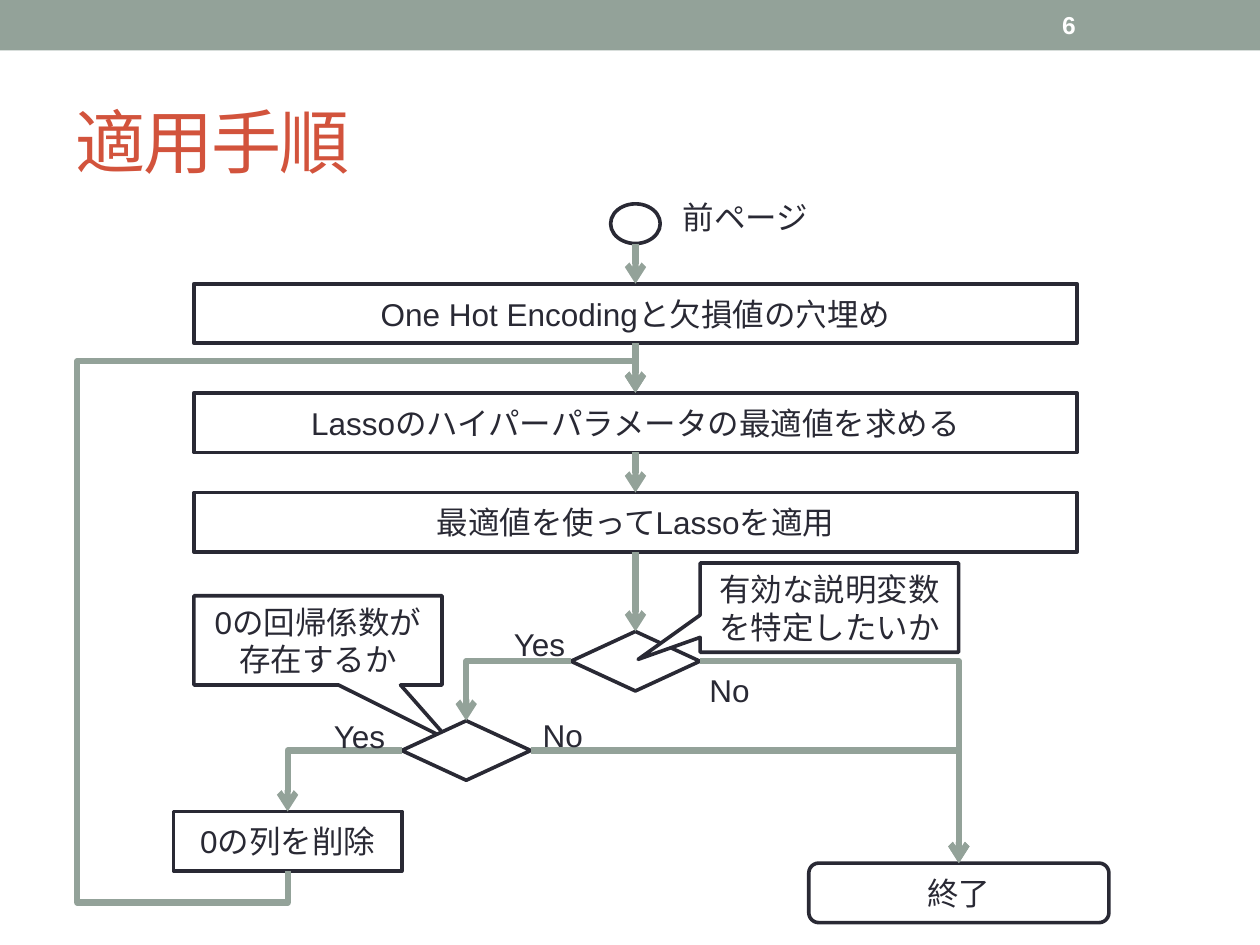
from dataclasses import dataclass

from lxml import etree
from pptx import Presentation
from pptx.dml.color import RGBColor
from pptx.enum.shapes import MSO_CONNECTOR, MSO_SHAPE
from pptx.enum.text import MSO_ANCHOR, PP_ALIGN
from pptx.oxml.ns import qn
from pptx.util import Cm, Pt

COLORS = {"band": "93A299", "title": "D2533C", "ink": "292934", "paper": "FFFFFF"}
FONT = "Arial"
RECTANGLE = MSO_SHAPE.RECTANGLE
CIRCLE = MSO_SHAPE.FLOWCHART_CONNECTOR
PROCESS = MSO_SHAPE.FLOWCHART_PROCESS
DECISION = MSO_SHAPE.FLOWCHART_DECISION
TERMINAL = MSO_SHAPE.FLOWCHART_ALTERNATE_PROCESS
CALLOUT = MSO_SHAPE.RECTANGULAR_CALLOUT
STRAIGHT, ELBOW = MSO_CONNECTOR.STRAIGHT, MSO_CONNECTOR.ELBOW
LEFT, CENTER = PP_ALIGN.LEFT, PP_ALIGN.CENTER
TOP_ANCHOR, MIDDLE_ANCHOR = MSO_ANCHOR.TOP, MSO_ANCHOR.MIDDLE
TOP_SIDE, LEFT_SIDE, BOTTOM_SIDE, RIGHT_SIDE = range(4)

MAIN_X, SECOND_X, DELETE_X, END_X = 12.81, 9.4, 5.8, 19.33


@dataclass(frozen=True)
class Node:
    name: str
    kind: int
    center_x: float
    top: float
    width: float
    height: float = 1.2
    text: str = ""
    pointer: tuple[float, ...] = ()


@dataclass(frozen=True)
class Link:
    start: str
    start_side: int
    end: str
    geometry: str = "line"
    bends: tuple[int, ...] = ()


@dataclass(frozen=True)
class Label:
    text: str
    left: float
    top: float
    width: float
    wrap: bool = False


NODES = [
    Node("previous", CIRCLE, MAIN_X, 4.11, 1, 0.8),
    Node("encode", PROCESS, MAIN_X, 5.72, 17.8, text="One Hot Encodingと欠損値の穴埋め"),
    Node("optimize", PROCESS, MAIN_X, 7.92, 17.8,
         text="Lassoのハイパーパラメータの最適値を求める"),
    Node("apply", PROCESS, MAIN_X, 9.93, 17.8, text="最適値を使ってLassoを適用"),
    Node("finish", TERMINAL, END_X, 17.4, 6.05, text="終了"),
    Node("want variables", DECISION, MAIN_X, 12.73, 2.6),
    Node("variables question", CALLOUT, 16.72, 11.35, 5.21, 1.8,
         "有効な説明変数を特定したいか", (-0.74, 0.58)),
    Node("zero question", CALLOUT, 6.41, 12.01, 5, 1.8,
         "0の回帰係数が存在するか", (0.53, 1.12)),
    Node("has zero", DECISION, SECOND_X, 14.53, 2.6),
    Node("delete", PROCESS, DELETE_X, 16.36, 4.6, text="0の列を削除"),
]

LINKS = [
    Link("previous", BOTTOM_SIDE, "encode"),
    Link("encode", BOTTOM_SIDE, "optimize"),
    Link("optimize", BOTTOM_SIDE, "apply"),
    Link("apply", BOTTOM_SIDE, "want variables"),
    Link("want variables", LEFT_SIDE, "has zero", "bentConnector2"),
    Link("want variables", RIGHT_SIDE, "finish", "bentConnector2"),
    Link("has zero", LEFT_SIDE, "delete", "bentConnector2"),
    Link("has zero", RIGHT_SIDE, "finish", "bentConnector2"),
    Link("delete", BOTTOM_SIDE, "optimize", "bentConnector5", (-6600, -60500, 106600)),
]

LABELS = [
    Label("前ページ", 13.51, 3.86, 4.6, wrap=True),
    Label("Yes", 10.11, 12.47, 1.55),
    Label("No", 14.05, 13.41, 1.32),
    Label("Yes", 6.48, 14.33, 1.55),
    Label("No", 10.69, 14.3, 1.32),
]


def color(name: str) -> RGBColor:
    return RGBColor.from_string(COLORS[name])


def write_text(shape, text: str, *, size: float = 18, ink: str = "ink", bold: bool = False,
               align=LEFT, anchor=MIDDLE_ANCHOR, wrap: bool = True, spacing: int = 0) -> None:
    """Fill a shape with one formatted paragraph; spacing is in hundredths of a point."""
    frame = shape.text_frame
    frame.word_wrap = wrap
    frame.vertical_anchor = anchor
    paragraph = frame.paragraphs[0]
    paragraph.alignment = align
    run = paragraph.add_run()
    run.text = text
    run.font.name = FONT
    run.font.size = Pt(size)
    run.font.bold = bold
    run.font.color.rgb = color(ink)
    if spacing:
        run.font._element.set("spc", str(spacing))


def add_text(slide, text: str, left: float, top: float, width: float, height: float,
             **text_format) -> None:
    box = slide.shapes.add_textbox(Cm(left), Cm(top), Cm(width), Cm(height))
    write_text(box, text, **text_format)


def add_header(slide, width: float) -> None:
    band = slide.shapes.add_shape(RECTANGLE, 0, 0, Cm(width), Cm(1.02))
    band.shadow.inherit = False
    band.fill.solid()
    band.fill.fore_color.rgb = color("band")
    band.line.fill.background()


def add_node(slide, node: Node):
    shape = slide.shapes.add_shape(node.kind, Cm(node.center_x - node.width / 2),
                                   Cm(node.top), Cm(node.width), Cm(node.height))
    shape.shadow.inherit = False
    shape.fill.solid()
    shape.fill.fore_color.rgb = color("paper")
    shape.line.color.rgb = color("ink")
    shape.line.width = Pt(2.08)
    for index, value in enumerate(node.pointer):
        shape.adjustments[index] = value
    if node.text:
        write_text(shape, node.text, align=CENTER)
    return shape


def side_point(shape, side: int) -> tuple[int, int]:
    x = shape.left + {LEFT_SIDE: 0, RIGHT_SIDE: shape.width}.get(side, shape.width // 2)
    y = shape.top + {TOP_SIDE: 0, BOTTOM_SIDE: shape.height}.get(side, shape.height // 2)
    return x, y


def turn_upward(connector, start: tuple[int, int], end: tuple[int, int]) -> None:
    """Rotate a connector so that it leaves downward and arrives from above."""
    width, height = abs(end[1] - start[1]), abs(end[0] - start[0])
    connector.left = (start[0] + end[0] - width) // 2
    connector.top = (start[1] + end[1] - height) // 2
    connector.width, connector.height = width, height
    transform = connector._element.spPr.find(qn("a:xfrm"))
    for key, value in (("rot", "5400000"), ("flipH", "1"), ("flipV", "1")):
        transform.set(key, value)


def add_link(slide, link: Link, shapes: dict) -> None:
    start_shape, end_shape = shapes[link.start], shapes[link.end]
    start, end = side_point(start_shape, link.start_side), side_point(end_shape, TOP_SIDE)
    kind = STRAIGHT if link.geometry == "line" else ELBOW
    connector = slide.shapes.add_connector(kind, *start, *end)
    # The circle numbers its eight connection sites differently.
    if start_shape.auto_shape_type != CIRCLE:
        connector.begin_connect(start_shape, link.start_side)
    connector.end_connect(end_shape, TOP_SIDE)
    connector.line.color.rgb = color("band")
    connector.line.width = Pt(3.5)
    properties = connector._element.spPr
    etree.SubElement(properties.find(qn("a:ln")), qn("a:tailEnd"), type="arrow")
    etree.SubElement(properties, qn("a:effectLst"))
    geometry = properties.find(qn("a:prstGeom"))
    geometry.set("prst", link.geometry)
    for number, value in enumerate(link.bends, start=1):
        etree.SubElement(geometry.find(qn("a:avLst")), qn("a:gd"),
                         name=f"adj{number}", fmla=f"val {value}")
    if link.bends:
        turn_upward(connector, start, end)


def main() -> None:
    presentation = Presentation()
    presentation.slide_width, presentation.slide_height = Cm(25.4), Cm(19.05)
    slide = presentation.slides.add_slide(presentation.slide_layouts[6])
    add_header(slide, 25.4)
    add_text(slide, "適用手順", 1.27, 1.47, 22.86, 2.74, size=40, ink="title", spacing=-100)
    add_text(slide, "6", 21.16, 0.05, 2.97, 0.91, size=14, ink="paper", bold=True)
    shapes = {node.name: add_node(slide, node) for node in NODES}
    for link in LINKS:
        add_link(slide, link, shapes)
    for label in LABELS:
        add_text(slide, label.text, label.left, label.top, label.width, 1.02,
                 anchor=TOP_ANCHOR, wrap=label.wrap)
    presentation.save("out.pptx")


if __name__ == "__main__":
    main()
